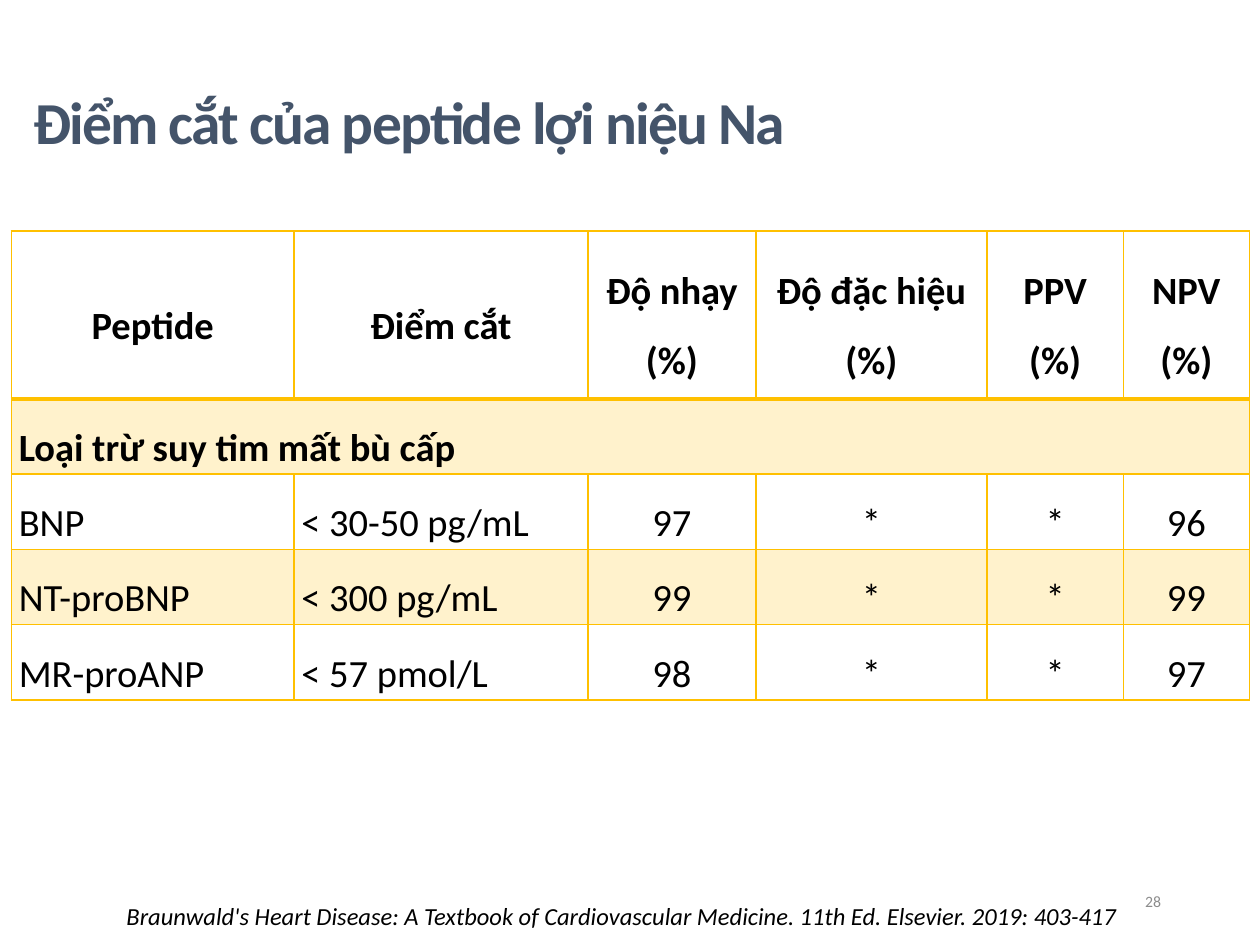
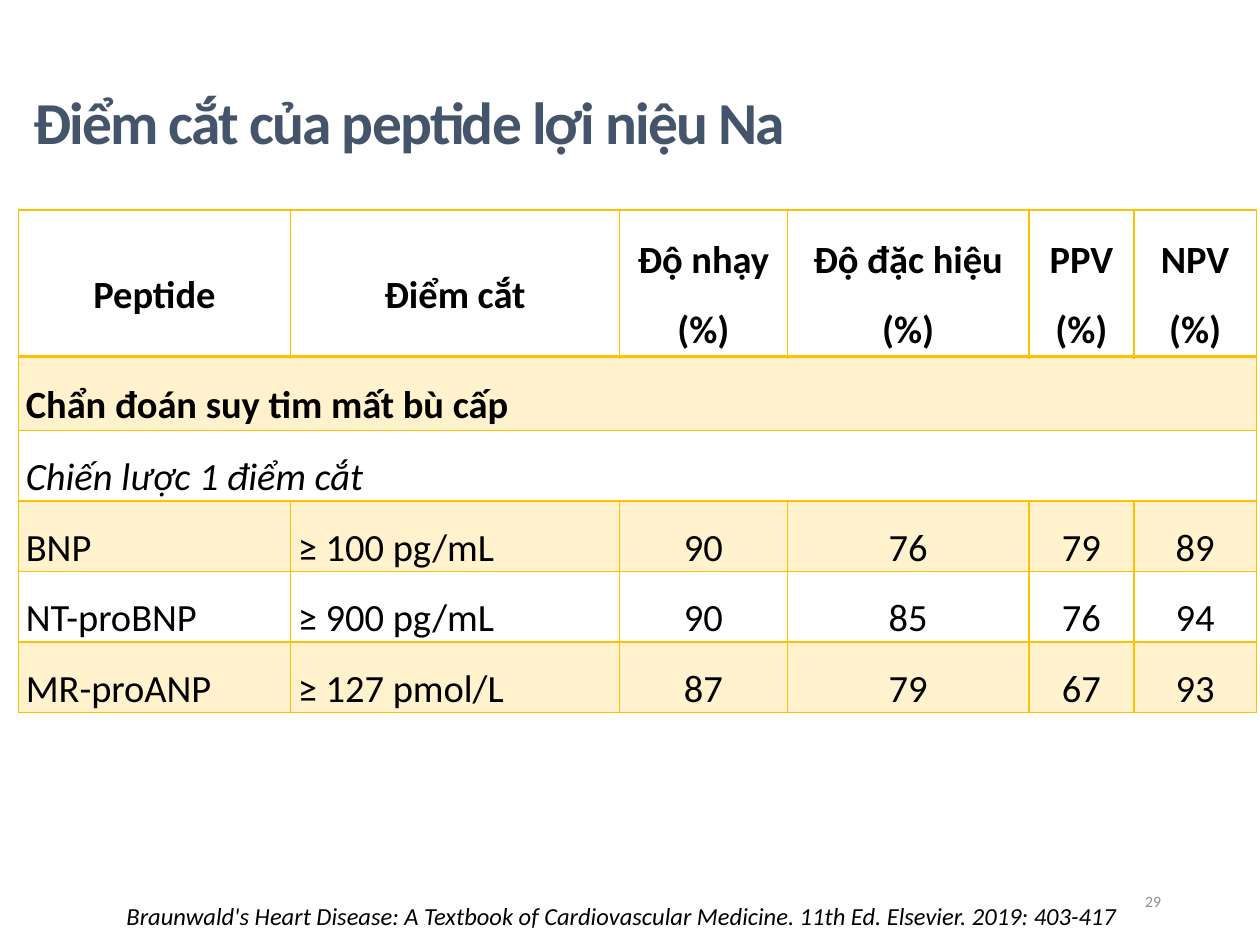
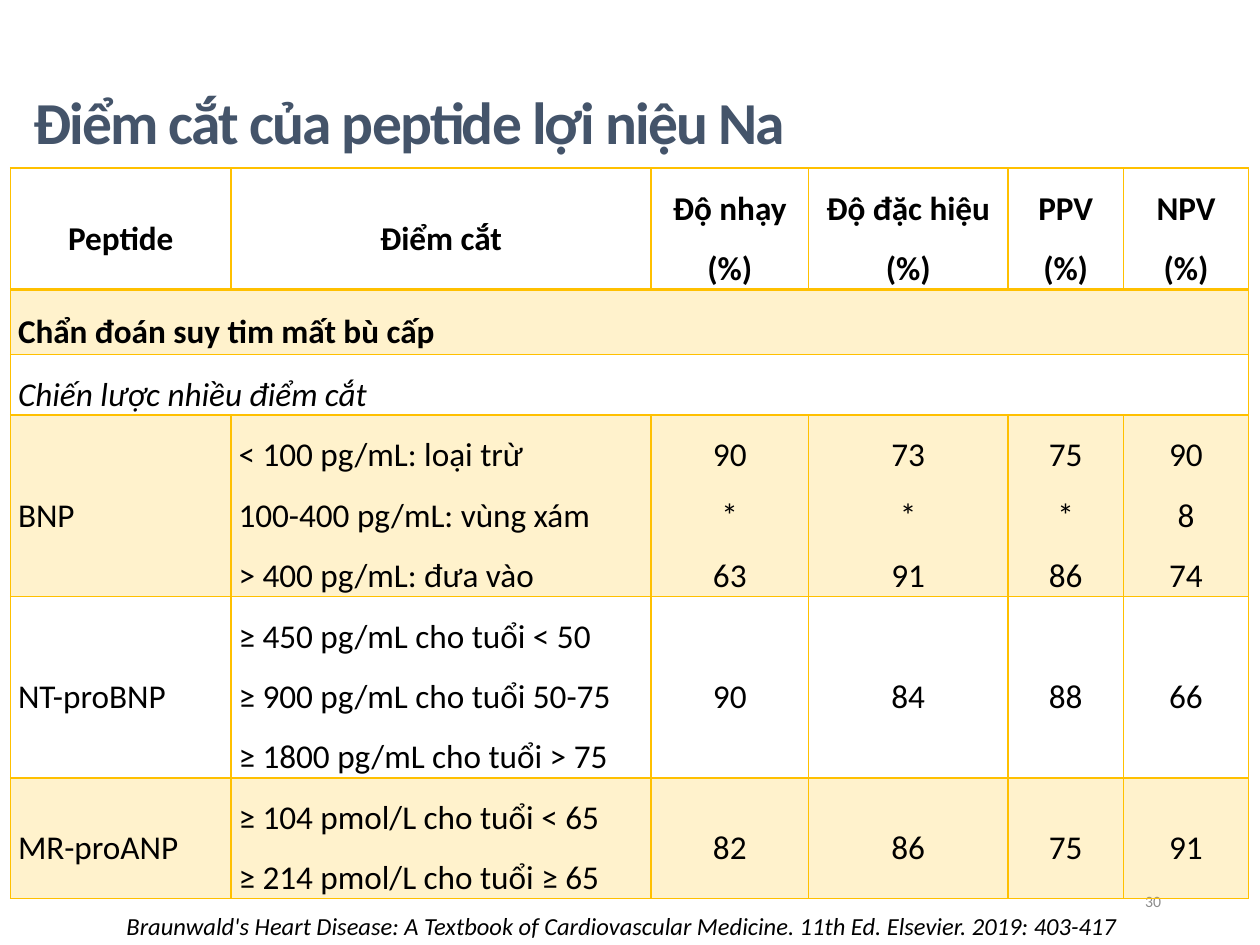
from lxml.etree import SubElement
from pptx import Presentation
from pptx.dml.color import RGBColor
from pptx.enum.text import MSO_ANCHOR as Anchor, PP_ALIGN as Align
from pptx.oxml import parse_xml
from pptx.oxml.ns import nsdecls, qn
from pptx.util import Pt

# Shared style
FONT = "Calibri"
INK, TITLE_INK, NUMBER_INK, GOLD = "000000", "44546A", "8C8C8C", "FFC000"
TITLE = "Điểm cắt của peptide lợi niệu Na"
SOURCE = ("Braunwald's Heart Disease: A Textbook of Cardiovascular Medicine. "
          "11th Ed. Elsevier. 2019: 403-417")
HEADER = ["Peptide", "Điểm cắt", "Độ nhạy\n(%)", "Độ đặc hiệu (%)", "PPV\n(%)", "NPV\n(%)"]

# One entry per slide; a row with a single text spans the whole table
PAGES = [
    dict(number="28", left=6.5, top=132, size=22, source_top=510,
         widths=[161.5, 168, 96, 132, 78, 72], heights=[96, 43, 43, 43, 43],
         rows=[["Loại trừ suy tim mất bù cấp"],
               ["BNP", "< 30-50 pg/mL", "97", "*", "*", "96"],
               ["NT-proBNP", "< 300 pg/mL", "99", "*", "*", "99"],
               ["MR-proANP", "< 57 pmol/L", "98", "*", "*", "97"]]),
    dict(number="29", left=10.5, top=120, size=22, source_top=510,
         widths=[155.5, 188, 96, 138, 60, 70], heights=[84, 42, 40.3, 40.3, 40.3, 40.3],
         rows=[["Chẩn đoán suy tim mất bù cấp"],
               ["Chiến lược 1 điểm cắt"],
               ["BNP", "≥ 100 pg/mL", "90", "76", "79", "89"],
               ["NT-proBNP", "≥ 900 pg/mL", "90", "85", "76", "94"],
               ["MR-proANP", "≥ 127 pmol/L", "87", "79", "67", "93"]]),
    dict(number="30", left=6, top=96, size=19, source_top=516,
         widths=[126, 240, 90, 114, 66, 71.5], heights=[69.5, 37, 34.6, 103.7, 103.7, 69],
         rows=[["Chẩn đoán suy tim mất bù cấp"],
               ["Chiến lược nhiều điểm cắt"],
               ["BNP", "< 100 pg/mL: loại trừ\n100-400 pg/mL: vùng xám\n> 400 pg/mL: đưa vào",
                "90\n*\n63", "73\n*\n91", "75\n*\n86", "90\n8\n74"],
               ["NT-proBNP", "≥ 450 pg/mL cho tuổi < 50\n≥ 900 pg/mL cho tuổi 50-75\n"
                "≥ 1800 pg/mL cho tuổi > 75", "90", "84", "88", "66"],
               ["MR-proANP", "≥ 104 pmol/L cho tuổi < 65\n≥ 214 pmol/L cho tuổi ≥ 65",
                "82", "86", "75", "91"]]),
]


def rgb(hex_color):
    return RGBColor.from_string(hex_color)


def write(frame, text, size, align, color=INK, bold=False, italic=False, spacing=1.0):
    frame.word_wrap = True
    frame.text = text
    for paragraph in frame.paragraphs:
        paragraph.alignment, paragraph.line_spacing = align, spacing
        font = paragraph.font
        font.name, font.size, font.bold, font.italic = FONT, Pt(size), bold, italic
        font.color.rgb = rgb(color)


deck = Presentation()
deck.slide_width, deck.slide_height = Pt(720), Pt(540)

for page in PAGES:
    slide = deck.slides.add_slide(deck.slide_layouts[6])
    shapes = slide.shapes

    # Page number
    number = shapes.add_textbox(Pt(508.5), Pt(500.5), Pt(162), Pt(28.75)).text_frame
    number.vertical_anchor = Anchor.MIDDLE
    write(number, page["number"], 9, Align.RIGHT, NUMBER_INK)

    # Title, with letters set one point tighter
    title = shapes.add_textbox(Pt(12), Pt(30), Pt(672), Pt(78)).text_frame
    title.vertical_anchor = Anchor.MIDDLE
    write(title, TITLE, 34, Align.LEFT, TITLE_INK, bold=True)
    title.paragraphs[0].runs[0].font._element.set("spc", "-100")

    # Cut-off table
    rows = [HEADER] + page["rows"]
    widths, heights = page["widths"], page["heights"]
    table = shapes.add_table(len(rows), len(widths), Pt(page["left"]), Pt(page["top"]),
                             Pt(sum(widths)), Pt(sum(heights))).table
    table.horz_banding = False
    for column, width in zip(table.columns, widths):
        column.width = Pt(width)

    for r, texts in enumerate(rows):
        table.rows[r].height = Pt(heights[r])
        spans = len(texts) == 1
        if spans:
            table.cell(r, 0).merge(table.cell(r, len(widths) - 1))
        for c in range(len(widths)):
            cell = table.cell(r, c)
            cell.vertical_anchor = Anchor.MIDDLE
            cell.margin_top = cell.margin_bottom = 0
            cell.margin_left = cell.margin_right = Pt(1.4 if r == 0 and c in (2, 3) else 4.3)
            if c < len(texts):
                centred = r == 0 or c > 1
                align = Align.CENTER if centred else Align.LEFT if spans else Align.JUSTIFY
                write(cell.text_frame, texts[c], page["size"], align,
                      bold=r < 2, italic=spans and r == 2, spacing=1.5)

            # Every second row is tinted
            if r % 2:
                cell.fill.solid()
                cell.fill.fore_color.rgb = rgb(GOLD)
            else:
                cell.fill.background()
            properties = cell._tc.get_or_add_tcPr()
            for tint in properties.iter(qn("a:srgbClr")):
                SubElement(tint, qn("a:alpha"), val="20000")

            # Gold rules, thicker below the header
            for i, side in enumerate("LRTB"):
                thick = (r, side) in ((0, "B"), (1, "T"))
                properties.insert(i, parse_xml(
                    f'<a:ln{side} {nsdecls("a")} w="{Pt(2 if thick else 1)}"><a:solidFill>'
                    f'<a:srgbClr val="{GOLD}"/></a:solidFill></a:ln{side}>'))

    # Source line
    source = shapes.add_textbox(Pt(21.5), Pt(page["source_top"]), Pt(668), Pt(25)).text_frame
    write(source, SOURCE, 14, Align.CENTER, italic=True, spacing=1.07)

deck.save("out.pptx")
